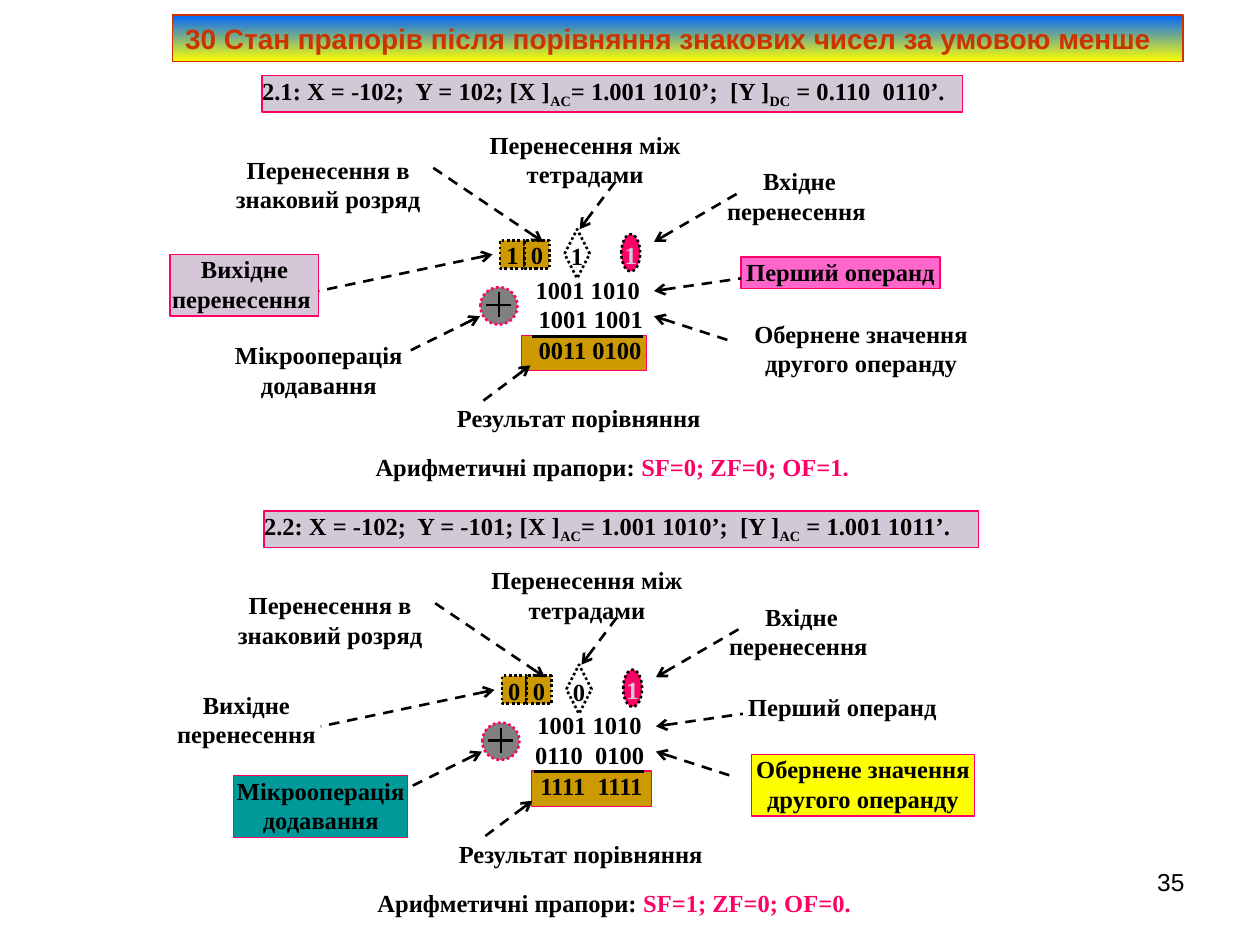
"""Build a slide on flag states after signed comparison under the "less" condition."""
import dataclasses

import pptx
import pptx.dml.color
import pptx.enum.dml
import pptx.enum.shapes
import pptx.enum.text
import pptx.oxml
import pptx.oxml.ns
import pptx.util

Pt = pptx.util.Pt
KIND = pptx.enum.shapes.MSO_SHAPE
DASH = pptx.enum.dml.MSO_LINE
ALIGN = pptx.enum.text.PP_ALIGN
ANCHOR = pptx.enum.text.MSO_ANCHOR


@dataclasses.dataclass(frozen=True)
class Theme:
    """Hold colours, fonts and sizes."""
    ink: str = "000000"
    paper: str = "FFFFFF"
    rose: str = "FF0066"
    pale: str = "D1C9D5"
    mauve: str = "D5C6D8"
    pink: str = "FF66CC"
    gold: str = "CC9900"
    gray: str = "808080"
    teal: str = "009999"
    sun: str = "FFFF00"
    sky: str = "0066FF"
    rust: str = "CC3300"
    serif: str = "Times New Roman"
    sans: str = "Arial"
    body: int = 14
    head: int = 16
    thin: float = 0.75
    bold: float = 1.5


@dataclasses.dataclass(frozen=True)
class Case:
    """Hold what differs between the two worked examples."""
    shift: tuple
    head: tuple
    wide: float
    bits: str
    mid: str
    terms: tuple
    total: str
    span: tuple
    flags: str
    out: str
    tints: dict


T = Theme()
SUB = {"base": -25000}
CASES = (
    Case((0, 0), ("2.1: X = -102;  Y = 102; [X ]", "AC", "= 1.001 1010’;  [Y ]", "DC", " = 0.110  0110’."),
         400.3, "10", "1", ("1001 1010", " 1001 1001"), "  0011 0100", (298.1, 71.3),
         "SF=0; ZF=0; OF=1.", "Вихідне перенесення ", {"first": T.pink, "out": T.mauve}),
    Case((1.1, 248.8), ("2.2: X = -102;  Y = -101; [X ]", "AC", "= 1.001 1010’;  [Y ]", "AC", " = 1.001 1011’."),
         408.2, "00", "0", ("1001 1010", "0110  0100"), "1111  1111", (302.7, 68.4),
         "SF=1; ZF=0; OF=0.", "Вихідне перенесення", {"inverse": T.sun, "add": T.teal}),
)
LABELS = {
    "result": ((259.9, 230.4, 141.8, 16.6), ("Результат порівняння",)),
    "sign": ((128.9, 88.6, 117.4, 35.3), ("Перенесення в", "знаковий розряд")),
    "first": ((423.4, 146.9, 113.8, 18), ("Перший операнд",)),
    "inverse": ((428.4, 182.2, 127.4, 35.3), ("Обернене значення другого операнду",)),
    "tetrad": ((274.3, 74.2, 120.2, 35.3), ("Перенесення між", "тетрадами")),
    "out": ((97.2, 145.4, 85, 35.3), ()),
    "in": ((409.7, 95, 94.3, 35.3), ("Вхідне перенесення ",)),
    "add": ((132.5, 194.4, 99.4, 35.3), ("Мікрооперація", "додавання")),
}
ARROWS = (
    (373.7, 138.2, 423.4, 109.4),
    (373.7, 166.3, 423.4, 159.1),
    (373.7, 180.7, 416.2, 194.4),
    (303.1, 208.8, 274.3, 230.4),
    (274.3, 180.7, 231.8, 201.6),
    (310.3, 138.2, 246.2, 95),
    (281.5, 145.4, 182.2, 166.3),
    (331.2, 131, 352.8, 102.2),
)


def rgb(code):
    """Return a colour from its hex code."""
    return pptx.dml.color.RGBColor.from_string(code)


def put(item, values):
    """Set each named value on the item."""
    for name, value in values.items():
        setattr(item, name, value)


def write(frame, paras, align=ALIGN.CENTER, color=T.ink, font=T.serif, size=T.body, bold=True,
          pads=(0, 0), anchor=ANCHOR.TOP):
    """Fill a text frame with paragraphs of (text, changes) runs or plain strings."""
    across, down = map(Pt, pads)
    put(frame, {"word_wrap": True, "auto_size": pptx.enum.text.MSO_AUTO_SIZE.NONE,
                "vertical_anchor": anchor, "margin_left": across, "margin_right": across,
                "margin_top": down, "margin_bottom": down})
    for i, para in enumerate(paras):
        line = frame.paragraphs[0] if i == 0 else frame.add_paragraph()
        line.alignment = align
        for text, change in [(para, {})] if isinstance(para, str) else para:
            run = line.add_run()
            run.text = text
            put(run.font, {"name": font, "size": Pt(size), "bold": bold})
            run.font.color.rgb = rgb(change.get("color", color))
            if "base" in change:
                run.font._element.set("baseline", str(change["base"]))


def stroke(line, color, width, dash=None):
    """Format an outline or a line."""
    line.color.rgb = rgb(color)
    put(line, {"width": Pt(width), "dash_style": dash})


def box(slide, at, fill, paras=(), kind=KIND.RECTANGLE, edge=None, width=T.thin, dash=None, **text):
    """Add a filled shape with text."""
    shape = slide.shapes.add_shape(kind, *map(Pt, at))
    shape.shadow.inherit = False
    shape.fill.solid()
    shape.fill.fore_color.rgb = rgb(fill)
    if edge:
        stroke(shape.line, edge, width, dash)
    else:
        shape.line.fill.background()
    write(shape.text_frame, paras, **text)


def rule(slide, ends, dash=None, tip=False):
    """Add a straight line, with an arrowhead at its start if asked."""
    line = slide.shapes.add_connector(pptx.enum.shapes.MSO_CONNECTOR.STRAIGHT, *map(Pt, ends))
    stroke(line.line, T.ink, T.bold, dash)
    make, name = pptx.oxml.xmlchemy.OxmlElement, pptx.oxml.ns.qn
    props = line._element.spPr
    props.append(make("a:effectLst"))
    if tip:
        head = make("a:headEnd")
        head.set("type", "arrow")
        props.find(name("a:ln")).append(head)


def title(slide):
    """Place and format the title on its gradient band."""
    shape = slide.shapes.title
    put(shape, dict(zip(("left", "top", "width", "height"), map(Pt, (98.6, 8.6, 577.4, 26.6)))))
    shape.fill.gradient()
    shape.fill.gradient_angle = 270
    for stop, color in zip(shape.fill.gradient_stops, (T.sky, T.sun)):
        stop.color.rgb = rgb(color)
    stroke(shape.line, T.rust, T.thin)
    write(shape.text_frame, ["30 Стан прапорів після порівняння знакових чисел за умовою менше"],
          align=ALIGN.LEFT, color=T.rust, font=T.sans, size=T.head, pads=(7.2, 3.6),
          anchor=ANCHOR.MIDDLE)


def sample(slide, case):
    """Draw one worked example at its shift."""
    right, down = case.shift

    def at(x, y, *size):
        return (x + right, y + down, *size)

    def ends(x, y, far, low):
        return at(x, y) + at(far, low)

    dots = {"width": T.bold, "dash": DASH.ROUND_DOT}
    head = [(part, SUB if i % 2 else {}) for i, part in enumerate(case.head)]
    box(slide, at(149.8, 43.2, case.wide, 20.9), T.pale, [head], edge=T.rose, align=ALIGN.LEFT)
    for key, (place, paras) in LABELS.items():
        tint = case.tints.get(key)
        box(slide, at(*place), tint or T.paper, paras or (case.out,), edge=tint and T.rose)
    flags = [("Арифметичні прапори: ", {}), (case.flags, {"color": T.rose})]
    box(slide, at(214.6, 258.5, 278.6, 21.6), T.paper, [flags], align=ALIGN.LEFT)
    box(slide, at(303.1, 157, 65.5, 35.3), T.paper, case.terms)
    for i, bit in enumerate(case.bits):
        box(slide, at(285.7 + 14.1 * i, 137.4, 14.2, 16), T.gold, [bit], edge=T.ink, **dots)
    left, wide = case.span
    box(slide, at(left, 191.7, wide, 20.2), T.gold, [case.total], edge=T.rose)
    box(slide, at(355, 133.9, 10.8, 21.2), T.rose, ["1"], KIND.OVAL, T.ink, color=T.pale, **dots)
    rule(slide, ends(303.8, 192.2, 367.2, 192.2))
    box(slide, at(274.5, 164.1, 21.2, 21.4), T.gray, kind=KIND.OVAL, edge=T.rose, **dots)
    rule(slide, ends(277.9, 174.2, 292.3, 174.2))
    rule(slide, ends(285.1, 167, 285.1, 181.4))
    box(slide, at(322.6, 131, 14.4, 28.1), T.paper, [case.mid], KIND.DIAMOND, T.ink, **dots)
    for arrow in ARROWS:
        rule(slide, ends(*arrow), DASH.DASH, tip=True)


def number(slide):
    """Add the page number."""
    area = slide.shapes.add_textbox(*map(Pt, (516.2, 491.8, 167.8, 37.4)))
    write(area.text_frame, ["35"], align=ALIGN.RIGHT, font=T.sans, bold=False, pads=(7.2, 3.6))


def main():
    """Build and save the slide."""
    deck = pptx.Presentation()
    put(deck, {"slide_width": Pt(720), "slide_height": Pt(540)})
    slide = deck.slides.add_slide(deck.slide_layouts[5])
    title(slide)
    for case in CASES:
        sample(slide, case)
    number(slide)
    deck.save("out.pptx")


if __name__ == "__main__":
    main()
